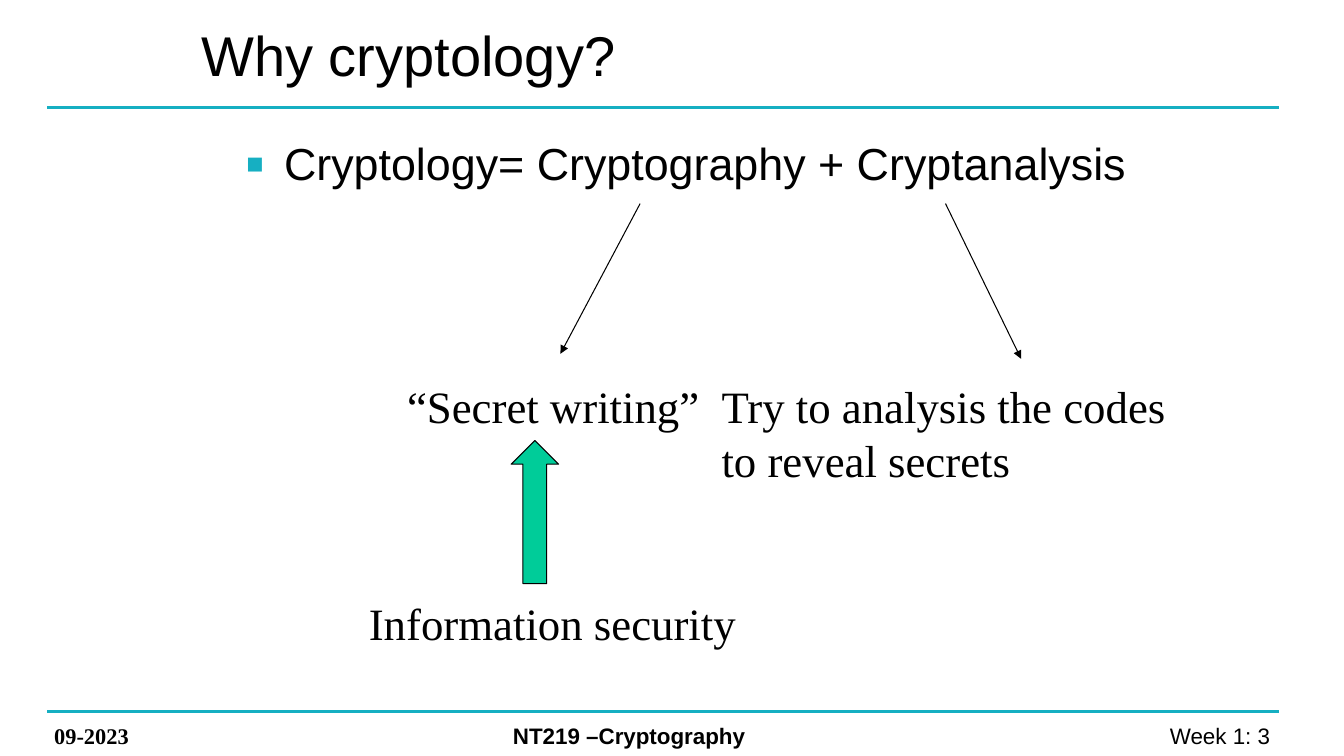
"""Build the "Why cryptology?" slide with its rules, footer, bullet and labelled arrows."""
from lxml.etree import SubElement
from pptx import Presentation
from pptx.dml.color import RGBColor
from pptx.enum.shapes import MSO_CONNECTOR, MSO_SHAPE
from pptx.enum.text import MSO_ANCHOR, PP_ALIGN
from pptx.oxml.ns import qn
from pptx.util import Inches, Pt

THEME = {
    "black": RGBColor.from_string("000000"),
    "teal": RGBColor.from_string("16AFC2"),
    "green": RGBColor.from_string("00CC99"),
    "sans": "Arial",
    "serif": "Times New Roman",
    "title": Pt(40),
    "body": Pt(32),
    "footer": Pt(16),
    "rule": Pt(2.25),
    "thin": Pt(0.75),
}

presentation = Presentation()
presentation.slide_width, presentation.slide_height = Inches(13.33), Inches(7.5)
slide = presentation.slides.add_slide(presentation.slide_layouts[6])
column = presentation.slide_width / 100
row = presentation.slide_height / 100


def place(*lengths):
    """Turn alternating columns and rows into slide lengths."""
    return [round(length * (row if index % 2 else column)) for index, length in enumerate(lengths)]


def add_line(ends, color, width):
    """Draw a straight line without a shadow and return its line properties."""
    connector = slide.shapes.add_connector(MSO_CONNECTOR.STRAIGHT, *place(*ends))
    connector.line.color.rgb = THEME[color]
    connector.line.width = THEME[width]
    SubElement(connector._element.spPr, qn("a:effectLst"))
    return connector.line._get_or_add_ln()


for rule_row in (14.27, 94.13):
    add_line((3.53, rule_row, 95.18, rule_row), "teal", "rule")

for ends in ((47.63, 26.93, 41.7, 46.8), (70.35, 26.93, 75.98, 47.47)):
    SubElement(add_line(ends, "black", "thin"), qn("a:tailEnd"), type="triangle")

footer_row, footer_height = 94.8, 4.93
label_row, label_height = 49.47, 15.73
texts = {
    "week": ((73.65, footer_row, 22.05, footer_height), ["Week 1: 3 "], "footer", "sans", {}),
    "date": ((3.3, footer_row, 13.35, footer_height), ["09-2023"], "footer", "serif", {"bold": True}),
    "course": ((37.43, footer_row, 36.22, footer_height), ["NT219 –Cryptography"], "footer", "sans", {"bold": True}),
    "title": ((14.25, 1.33, 54.6, 11.6), ["Why cryptology?"], "title", "sans", {}),
    "body": ((17.55, 17.33, 67.28, 72.4), ["Cryptology= Cryptography + Cryptanalysis"], "body", "sans", {}),
    "cryptography": ((29.55, label_row, 23.4, label_height), ["“Secret writing”"], "body", "serif", {}),
    "cryptanalysis": ((52.95, label_row, 34.88, label_height),
                      ["Try to analysis the codes", "to reveal secrets"], "body", "serif", {}),
    "security": ((26.7, 78.13, 29.1, label_height), ["Information security"], "body", "serif", {}),
}
frames = {}
for name, (box, lines, size, font, extra) in texts.items():
    frame = frames[name] = slide.shapes.add_textbox(*place(*box)).text_frame
    frame.word_wrap = font == THEME["sans"] or size != "body" or name == "body"
    frame.text = "\n".join(lines)
    for paragraph in frame.paragraphs:
        text_format = {"name": THEME[font], "size": THEME[size], **extra}
        for attribute, value in text_format.items():
            setattr(paragraph.runs[0].font, attribute, value)
        paragraph.runs[0].font.color.rgb = THEME["black"]

frames["title"].vertical_anchor = MSO_ANCHOR.MIDDLE
frames["week"].paragraphs[0].alignment = PP_ALIGN.RIGHT

bullet = frames["body"].paragraphs[0]._p.get_or_add_pPr()
bullet.set("marL", str(Inches(0.38)))
bullet.set("indent", str(-Inches(0.38)))
SubElement(SubElement(bullet, qn("a:buClr")), qn("a:srgbClr"), val=str(THEME["teal"]))
SubElement(bullet, qn("a:buSzPct"), val="125000")
SubElement(bullet, qn("a:buFont"), typeface=THEME["sans"])
SubElement(bullet, qn("a:buChar"), char="▪")

arrow = slide.shapes.add_shape(MSO_SHAPE.UP_ARROW, *place(38.03, 58.27, 3.53, 18.93))
arrow.shadow.inherit = False
arrow.fill.solid()
arrow.fill.fore_color.rgb = THEME["green"]
arrow.line.color.rgb = THEME["black"]
arrow.line.width = THEME["thin"]

presentation.save("out.pptx")
